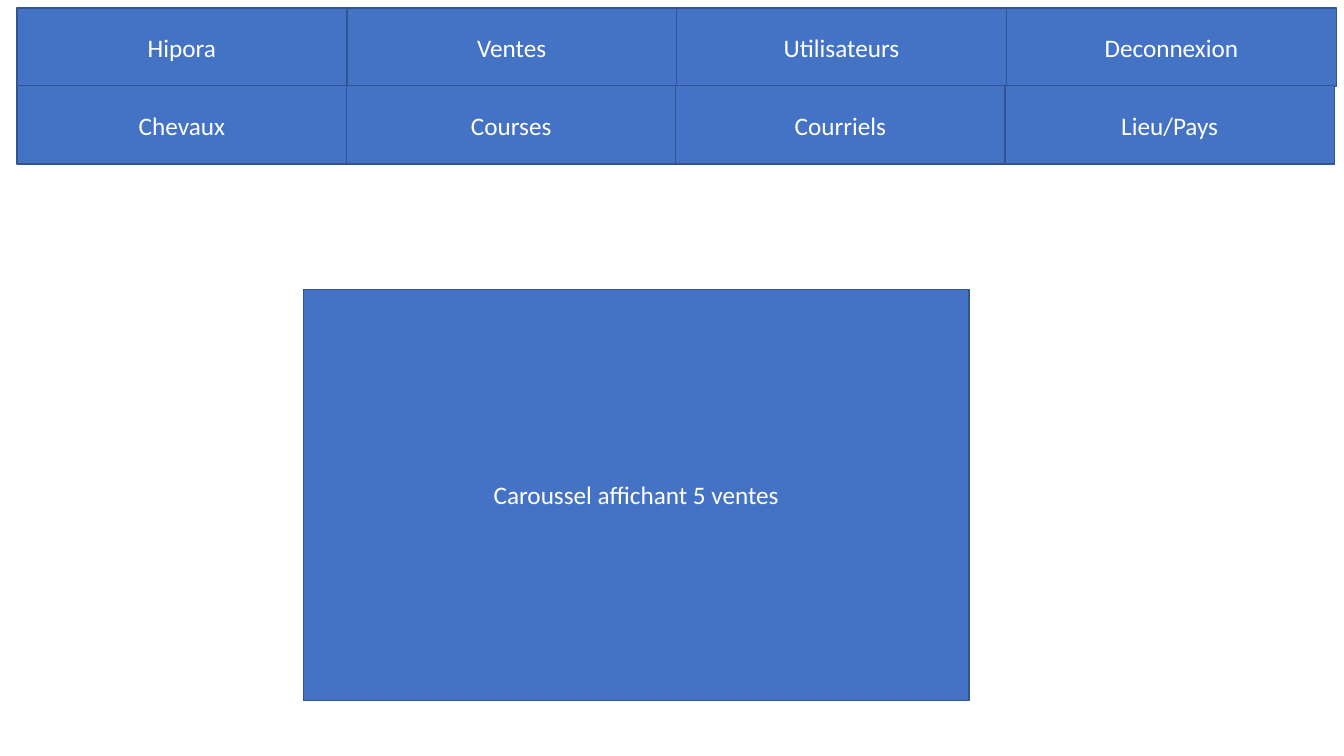
from pptx import Presentation
from pptx.dml.color import RGBColor
from pptx.enum.shapes import MSO_SHAPE
from pptx.enum.text import MSO_ANCHOR, PP_ALIGN
from pptx.util import Pt

RECTANGLE = MSO_SHAPE.RECTANGLE
MIDDLE = MSO_ANCHOR.MIDDLE
CENTER = PP_ALIGN.CENTER
BLUE = RGBColor(0x44, 0x72, 0xC4)
DARK_BLUE = RGBColor(0x32, 0x54, 0x91)
WHITE = RGBColor(0xFF, 0xFF, 0xFF)

MENU_LEFT, MENU_TOP = 12.2, 5.7
BUTTON_WIDTH, BUTTON_HEIGHT = 235.5, 56
ROW_PITCH = 55.6
MENU_ROWS = [
    (235.6, ["Hipora", "Ventes", "Utilisateurs", "Deconnexion"]),
    (235.2, ["Chevaux", "Courses", "Courriels", "Lieu/Pays"]),
]

prs = Presentation()
prs.slide_width, prs.slide_height = Pt(960), Pt(540)
s = prs.slides.add_slide(prs.slide_layouts[6])


def add_box(text, *, left, top, width, height, size=18, font="Calibri"):
    sp = s.shapes.add_shape(RECTANGLE, Pt(left), Pt(top), Pt(width), Pt(height))
    sp.shadow.inherit = False
    sp.fill.solid()
    sp.fill.fore_color.rgb = BLUE
    sp.line.color.rgb = DARK_BLUE
    sp.line.width = Pt(1)
    tf = sp.text_frame
    tf.word_wrap = True
    tf.vertical_anchor = MIDDLE
    p = tf.paragraphs[0]
    p.alignment = CENTER
    r = p.add_run()
    r.text = text
    r.font.size = Pt(size)
    r.font.name = font
    r.font.color.rgb = WHITE


for row, (column_pitch, labels) in enumerate(MENU_ROWS):
    for column, label in enumerate(labels):
        add_box(label, left=MENU_LEFT + column * column_pitch,
                top=MENU_TOP + row * ROW_PITCH,
                width=BUTTON_WIDTH, height=BUTTON_HEIGHT)

add_box("Caroussel affichant 5 ventes", left=216.9, top=206.6, width=475.2, height=293.8)

prs.save("out.pptx")
